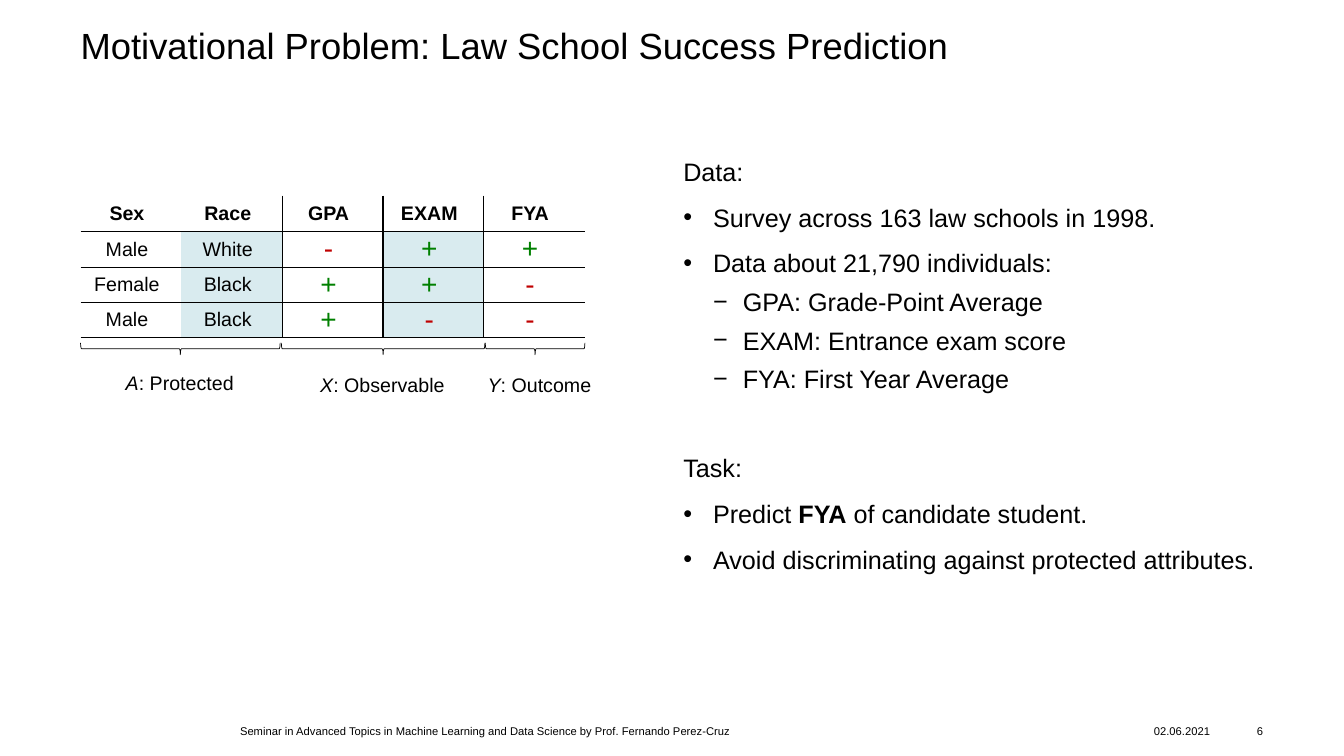
from lxml.etree import SubElement
from pptx import Presentation
from pptx.dml.color import RGBColor
from pptx.enum.shapes import MSO_SHAPE as Shape
from pptx.enum.text import MSO_ANCHOR as Anchor, PP_ALIGN as Align
from pptx.oxml.ns import qn
from pptx.util import Cm, Pt

FONT = "Arial"
BLACK, WHITE, TINT = "000000", "FFFFFF", "D9EBEF"
SIGN_COLOURS = {"+": "008000", "-": "C00000"}

TABLE_LEFT, TABLE_TOP, COLUMN_WIDTH = 2.03, 4.93, 2.54
ROW_HEIGHTS = [0.9, 0.9, 0.9, 0.86]
ROWS = [
    ["Sex", "Race", "GPA", "EXAM", "FYA"],
    ["Male", "White", "-", "+", "+"],
    ["Female", "Black", "+", "+", "-"],
    ["Male", "Black", "+", "-", "-"],
]
TINTED_COLUMNS = (1, 3)
RULED_COLUMNS = (1, 2, 3)  # columns with a vertical rule on their right

# brace start, brace end, caption left, caption top, symbol, meaning
GROUPS = [
    (2.03, 7.06, 2.92, 9.22, "A", ": Protected"),
    (7.09, 12.22, 7.82, 9.27, "X", ": Observable"),
    (12.23, 14.74, 12.04, 9.27, "Y", ": Outcome"),
]
BRACE_MIDDLE, BRACE_DEPTH = 8.79, 0.3

# level (0 heading, 1 bullet, 2 dash), space before in points, (text, bold) runs
BODY = [
    (0, 0, [("Data:", False)]),
    (1, 11, [("Survey across 163 law schools in 1998.", False)]),
    (1, 11, [("Data about 21,790 individuals:", False)]),
    (2, 6, [("GPA: Grade-Point Average", False)]),
    (2, 6, [("EXAM: Entrance exam score", False)]),
    (2, 6, [("FYA: First Year Average", False)]),
    (0, 42, [("Task:", False)]),
    (1, 11, [("Predict ", False), ("FYA", True),
             (" of candidate student.", False)]),
    (1, 11, [("Avoid discriminating against protected attributes.", False)]),
]
BULLETS = {1: "•", 2: "−"}
INDENT = 0.75

# left, width, alignment, text
FOOTER = [
    (6.05, 15.01, Align.LEFT, "Seminar in Advanced Topics in Machine Learning "
     "and Data Science by Prof. Fernando Perez-Cruz"),
    (29.08, 1.7, Align.LEFT, "02.06.2021"),
    (30.94, 0.89, Align.RIGHT, "6"),
]


def colour(value):
    return RGBColor.from_string(value)


def add_span(para, text, size, shade=BLACK, bold=False, italic=False):
    span = para.add_run()
    span.text = text
    font = span.font
    font.name, font.size = FONT, Pt(size)
    font.bold, font.italic = bold, italic
    font.color.rgb = colour(shade)


def clear_margins(frame):
    frame.margin_left = frame.margin_right = 0
    frame.margin_top = frame.margin_bottom = 0


def add_box(page, left, top, width, height):
    box = page.shapes.add_textbox(Cm(left), Cm(top), Cm(width), Cm(height))
    box.text_frame.word_wrap = True
    return box.text_frame


def add_title(page, text):
    title = page.shapes.title
    title.left, title.top = Cm(2.03), Cm(0.71)
    title.width, title.height = Cm(29.79), Cm(2.49)
    frame = title.text_frame
    clear_margins(frame)
    frame.vertical_anchor = Anchor.TOP
    para = frame.paragraphs[0]
    para.alignment = Align.LEFT
    para.line_spacing = 0.9
    add_span(para, text, 26)


def set_bullet(para, level):
    properties = para._p.get_or_add_pPr()
    properties.set("marL", str(Cm(INDENT * level)))
    properties.set("indent", str(-Cm(INDENT)))
    SubElement(properties, qn("a:buFont")).set("typeface", FONT)
    SubElement(properties, qn("a:buChar")).set("char", BULLETS[level])


def add_body(page):
    frame = add_box(page, 17.22, 3.94, 14.61, 13.49)
    clear_margins(frame)
    for index, (level, space, spans) in enumerate(BODY):
        para = frame.add_paragraph() if index else frame.paragraphs[0]
        if level:
            set_bullet(para, level)
        para.space_before = Pt(space)
        for text, bold in spans:
            add_span(para, text, 18, bold=bold)


def set_borders(cell, widths):
    """Rule the sides named in widths (points) and clear the others."""
    properties = cell._tc.get_or_add_tcPr()
    for position, side in enumerate("LRTB"):
        line = SubElement(properties, qn(f"a:ln{side}"))
        properties.insert(position, line)
        if side in widths:
            line.set("w", str(Pt(widths[side])))
            fill = SubElement(line, qn("a:solidFill"))
            SubElement(fill, qn("a:srgbClr")).set("val", BLACK)
        else:
            line.set("w", "0")
            SubElement(line, qn("a:noFill"))


def cell_borders(row, column):
    widths = {"B": 0.5 if row else 1}
    if row:
        widths["T"] = 1 if row == 1 else 0.5
    if column in RULED_COLUMNS:
        widths["R"] = 1
    if column - 1 in RULED_COLUMNS:
        widths["L"] = 1
    return widths


def fill_cell(cell, row, column, text):
    cell.margin_left = cell.margin_top = cell.margin_bottom = 0
    cell.margin_right = Cm(0.2)
    cell.vertical_anchor = Anchor.MIDDLE
    cell.fill.solid()
    tinted = row and column in TINTED_COLUMNS
    cell.fill.fore_color.rgb = colour(TINT if tinted else WHITE)
    set_borders(cell, cell_borders(row, column))
    para = cell.text_frame.paragraphs[0]
    para.alignment = Align.CENTER
    size = 20 if text in SIGN_COLOURS else 14
    add_span(para, text, size, SIGN_COLOURS.get(text, BLACK), bold=row == 0)


def add_student_table(page):
    columns = len(ROWS[0])
    table = page.shapes.add_table(
        len(ROWS), columns, Cm(TABLE_LEFT), Cm(TABLE_TOP),
        Cm(COLUMN_WIDTH * columns), Cm(sum(ROW_HEIGHTS))).table
    table.horz_banding = False
    for column in table.columns:
        column.width = Cm(COLUMN_WIDTH)
    for row, texts in enumerate(ROWS):
        table.rows[row].height = Cm(ROW_HEIGHTS[row])
        for column, text in enumerate(texts):
            fill_cell(table.cell(row, column), row, column, text)


def add_brace(page, start, end):
    """Draw a brace opening upwards, by turning a right brace."""
    span = end - start
    brace = page.shapes.add_shape(
        Shape.RIGHT_BRACE, Cm((start + end - BRACE_DEPTH) / 2),
        Cm(BRACE_MIDDLE - span / 2), Cm(BRACE_DEPTH), Cm(span))
    brace.rotation = 90
    brace.shadow.inherit = False
    brace.fill.background()
    brace.line.color.rgb = colour(BLACK)
    brace.line.width = Pt(0.5)


def add_caption(page, left, top, symbol, meaning):
    para = add_box(page, left, top, 3.66, 0.86).paragraphs[0]
    add_span(para, symbol, 14, italic=True)
    add_span(para, meaning, 14)


def add_footer(page):
    for left, width, alignment, text in FOOTER:
        frame = add_box(page, left, 18.11, width, 0.61)
        clear_margins(frame)
        frame.vertical_anchor = Anchor.MIDDLE
        para = frame.paragraphs[0]
        para.alignment = alignment
        add_span(para, text, 8)


def main():
    deck = Presentation()
    deck.slide_width, deck.slide_height = Cm(33.87), Cm(19.05)
    page = deck.slides.add_slide(deck.slide_layouts[5])
    add_title(page, "Motivational Problem: Law School Success Prediction")
    add_body(page)
    add_student_table(page)
    for start, end, left, top, symbol, meaning in GROUPS:
        add_brace(page, start, end)
        add_caption(page, left, top, symbol, meaning)
    add_footer(page)
    deck.save("out.pptx")


if __name__ == "__main__":
    main()
